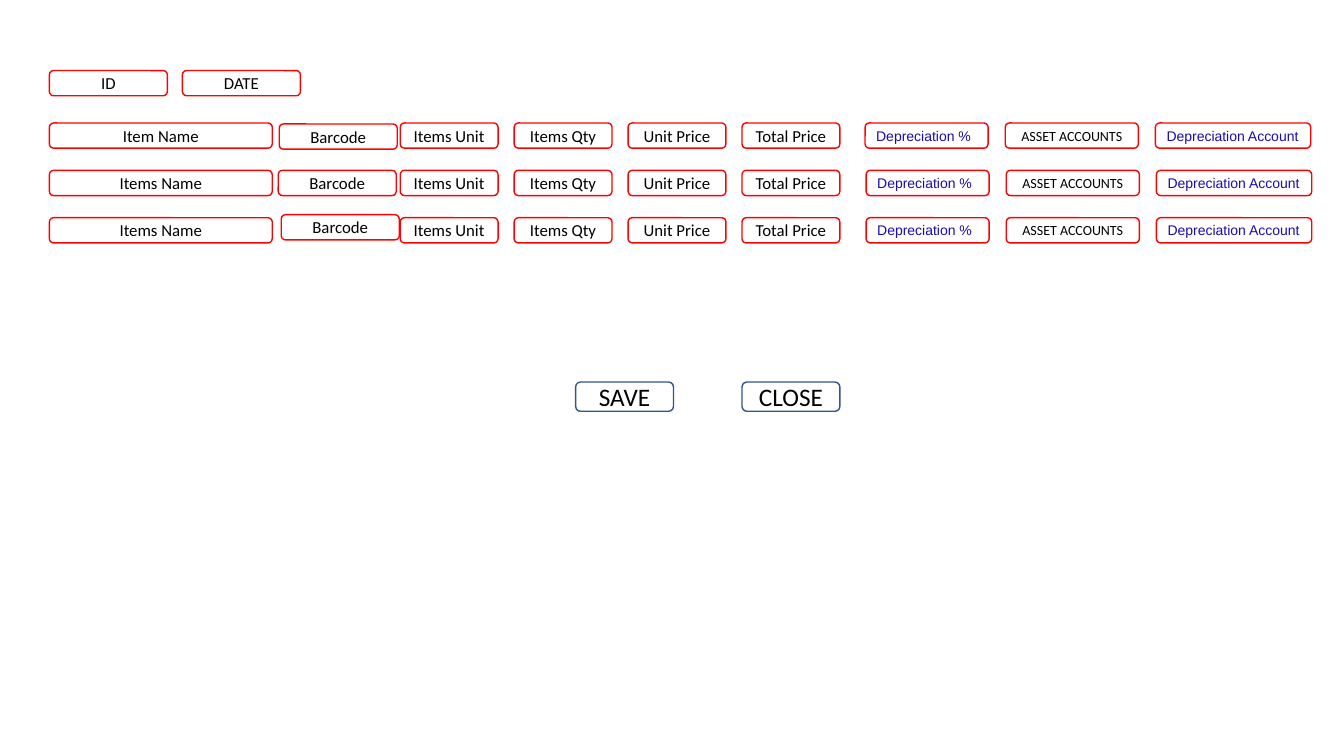
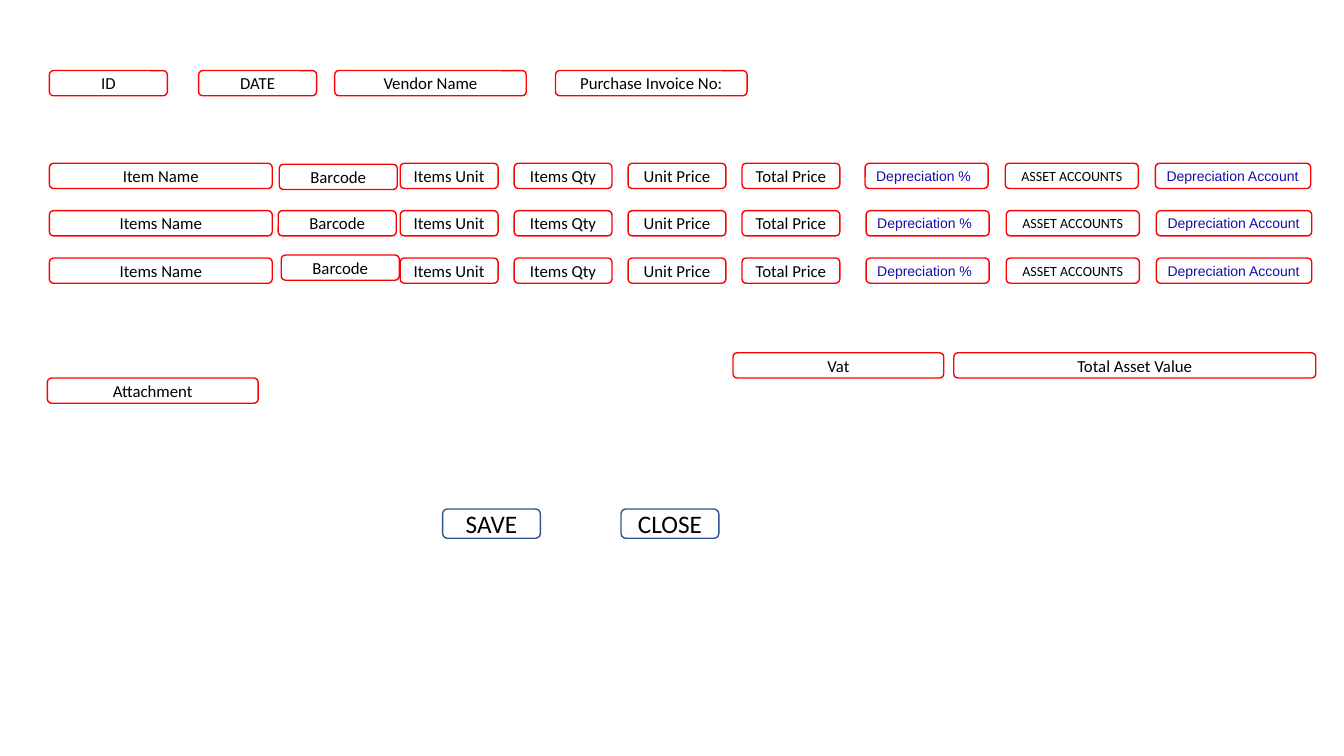
from pptx import Presentation
from pptx.dml.color import RGBColor
from pptx.enum.shapes import MSO_SHAPE
from pptx.enum.text import MSO_ANCHOR, PP_ALIGN
from pptx.util import Inches, Pt

ROUNDED = MSO_SHAPE.ROUNDED_RECTANGLE
MIDDLE = MSO_ANCHOR.MIDDLE
LEFT, CENTER = PP_ALIGN.LEFT, PP_ALIGN.CENTER

RED = RGBColor(0xFF, 0x00, 0x00)
NAVY = RGBColor(0x32, 0x54, 0x91)
BLACK = RGBColor(0x00, 0x00, 0x00)
LINK_BLUE = RGBColor(0x1A, 0x0D, 0xAB)

# Shared grid, in inches
MARGIN = 0.49
HEADER_TOP = 0.7
FIELD_HEIGHT = 0.25
BUTTON_HEIGHT = 0.29
SHORT_WIDTH = 1.17
UNIT_WIDTH = 0.97
UNIT_LEFT = 3.97
UNIT_PITCH = 1.13
ROW_PITCH = 0.47

# Text styles: font, size, colour, alignment
FIELD_STYLE = ("Calibri", 12, BLACK, CENTER)
ACCOUNT_STYLE = ("Calibri", 10, BLACK, CENTER)
DEPRECIATION_STYLE = ("Arial", 10, LINK_BLUE, LEFT)
BUTTON_STYLE = ("Calibri", 18, BLACK, CENTER)

UNIT_LABELS = ["Items Unit", "Items Qty", "Unit Price", "Total Price"]
ACCOUNT_COLUMNS = [
    ("Depreciation %", 8.58, 1.22, DEPRECIATION_STYLE),
    ("ASSET ACCOUNTS", 9.97, 1.32, ACCOUNT_STYLE),
    ("Depreciation Account", 11.46, 1.54, DEPRECIATION_STYLE),
]

# One entry per row: item label, barcode left, barcode drop, account shift
ITEM_ROWS = [
    ("Item Name", 2.77, 0.01, 0),
    ("Items Name", 2.76, 0, 0.01),
    ("Items Name", 2.79, -0.03, 0.01),
]


def add_box(slide, text, left, top, width, height=FIELD_HEIGHT,
            style=FIELD_STYLE, line_color=RED):
    """Add an outlined, rounded box with one line of text."""
    font_name, size, color, alignment = style
    shape = slide.shapes.add_shape(
        ROUNDED, Inches(left), Inches(top), Inches(width), Inches(height))
    shape.shadow.inherit = False
    shape.fill.background()
    shape.line.color.rgb = line_color
    shape.line.width = Pt(1)
    text_frame = shape.text_frame
    text_frame.text = text
    text_frame.word_wrap = True
    text_frame.vertical_anchor = MIDDLE
    paragraph = text_frame.paragraphs[0]
    paragraph.alignment = alignment
    font = paragraph.runs[0].font
    font.name = font_name
    font.size = Pt(size)
    font.color.rgb = color


def add_header(slide, fields):
    for text, left, width in fields:
        add_box(slide, text, left, HEADER_TOP, width)


def add_item_rows(slide, first_top):
    for index, (item, barcode_left, drop, shift) in enumerate(ITEM_ROWS):
        top = first_top + index * ROW_PITCH
        add_box(slide, item, MARGIN, top, 2.21)
        add_box(slide, "Barcode", barcode_left, top + drop, SHORT_WIDTH)
        for column, label in enumerate(UNIT_LABELS):
            add_box(slide, label, UNIT_LEFT + column * UNIT_PITCH, top,
                    UNIT_WIDTH)
        for label, left, width, style in ACCOUNT_COLUMNS:
            add_box(slide, label, left + shift, top, width, style=style)


def add_buttons(slide, top, save_left, close_left):
    for text, left in (("SAVE", save_left), ("CLOSE", close_left)):
        add_box(slide, text, left, top, UNIT_WIDTH, BUTTON_HEIGHT,
                BUTTON_STYLE, NAVY)


def build_asset_form(slide):
    add_header(slide, [("ID", MARGIN, SHORT_WIDTH),
                       ("DATE", 1.81, SHORT_WIDTH)])
    add_item_rows(slide, 1.22)
    add_buttons(slide, 3.79, 5.71, 7.36)


def build_purchase_form(slide):
    add_header(slide, [("ID", MARGIN, SHORT_WIDTH),
                       ("DATE", 1.97, SHORT_WIDTH),
                       ("Vendor Name", 3.32, 1.9),
                       ("Purchase Invoice No:", 5.51, 1.9)])
    add_item_rows(slide, 1.62)
    # Totals and attachment
    add_box(slide, "Vat", 7.27, 3.5, 2.09)
    add_box(slide, "Total Asset Value", 9.46, 3.5, 3.59)
    add_box(slide, "Attachment", 0.47, 3.75, 2.09)
    add_buttons(slide, 5.05, 4.39, 6.16)


def main():
    presentation = Presentation()
    presentation.slide_width = Inches(13.33)
    presentation.slide_height = Inches(7.5)
    blank_layout = presentation.slide_layouts[6]
    for build in (build_asset_form, build_purchase_form):
        build(presentation.slides.add_slide(blank_layout))
    presentation.save("out.pptx")


if __name__ == "__main__":
    main()
